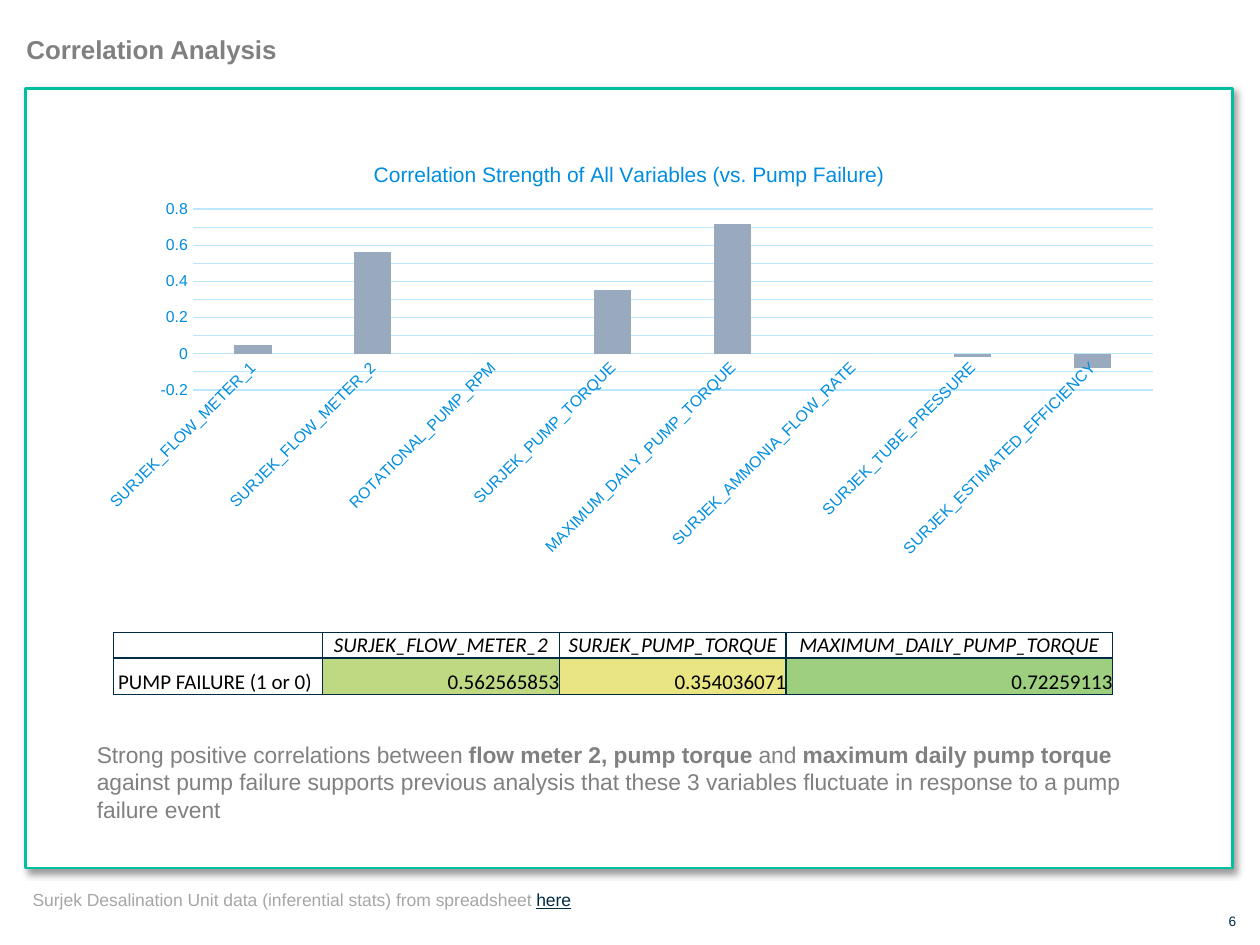
"""Build the Correlation Analysis slide with a chart, a table and a conclusion."""
import pptx
import pptx.chart.data
import pptx.dml.color
import pptx.enum.chart
import pptx.enum.shapes
import pptx.enum.text
import pptx.oxml
import pptx.oxml.ns
import pptx.util

Inches = pptx.util.Inches
Pt = pptx.util.Pt
ALIGN = pptx.enum.text.PP_ALIGN
COLORS = {
    "white": "FFFFFF", "frame": "00C09D", "navy": "002C46", "gray": "808080",
    "source": "A6A6A6", "black": "000000", "blue": "008DE0", "grid": "BDE6FF",
    "bar": "99AABE", "lime": "BED981", "yellow": "E9E583", "green": "9DCF7F",
}


def style_font(font, size, color, name="Arial", bold=False, italic=False):
    """Set the look of a font."""
    font.size, font.name, font.bold, font.italic = Pt(size), name, bold, italic
    font.color.rgb = pptx.dml.color.RGBColor.from_string(COLORS[color])


def add_text(slide, box, runs, size, color, align=ALIGN.LEFT):
    """Add a wrapped text box from (text, bold) runs and return its paragraph."""
    shape = slide.shapes.add_textbox(*map(Inches, box))
    shape.text_frame.word_wrap = True
    paragraph = shape.text_frame.paragraphs[0]
    paragraph.alignment = align
    for text, bold in runs:
        run = paragraph.add_run()
        run.text = text
        style_font(run.font, size, color, bold=bold)
    return paragraph


presentation = pptx.Presentation()
presentation.slide_width, presentation.slide_height = Inches(10), Inches(7.5)
slide = presentation.slides.add_slide(presentation.slide_layouts[5])
namespace = pptx.oxml.ns.nsdecls("a")

frame = slide.shapes.add_shape(
    pptx.enum.shapes.MSO_SHAPE.RECTANGLE, Inches(0.2), Inches(0.7), Inches(9.58), Inches(6.19))
frame.fill.solid()
frame.fill.fore_color.rgb = pptx.dml.color.RGBColor.from_string(COLORS["white"])
frame.line.color.rgb = pptx.dml.color.RGBColor.from_string(COLORS["frame"])
frame.line.width = Pt(1.5)
frame.shadow.inherit = False
effects = frame._element.spPr.find(pptx.oxml.ns.qn("a:effectLst"))
effects.append(pptx.oxml.parse_xml(
    f'<a:outerShdw {namespace} blurRad="{Pt(4)}" dist="{Pt(3)}" dir="2700000" algn="tl" '
    f'rotWithShape="0"><a:srgbClr val="{COLORS["black"]}"><a:alpha val="40000"/>'
    '</a:srgbClr></a:outerShdw>'))

title = slide.shapes.title
title.left, title.top, title.width, title.height = map(Inches, (0.21, 0.27, 9.58, 0.25))
title_frame = title.text_frame
title_frame.text = "Correlation Analysis"
title_frame.margin_left = title_frame.margin_right = 0
title_frame.margin_top = title_frame.margin_bottom = 0
title_frame.vertical_anchor = pptx.enum.text.MSO_ANCHOR.TOP
title_frame.auto_size = pptx.enum.text.MSO_AUTO_SIZE.NONE
title_frame.paragraphs[0].alignment = ALIGN.LEFT
style_font(title_frame.paragraphs[0].runs[0].font, 14.8, "gray", bold=True)

chart_data = pptx.chart.data.CategoryChartData()
chart_data.categories = [
    "SURJEK_FLOW_METER_1", "SURJEK_FLOW_METER_2", "ROTATIONAL_PUMP_RPM", "SURJEK_PUMP_TORQUE",
    "MAXIMUM_DAILY_PUMP_TORQUE", "SURJEK_AMMONIA_FLOW_RATE", "SURJEK_TUBE_PRESSURE",
    "SURJEK_ESTIMATED_EFFICIENCY"]
chart_data.add_series("Series 1", (0.05, 0.56, 0, 0.35, 0.72, 0, -0.02, -0.08))
chart = slide.shapes.add_chart(
    pptx.enum.chart.XL_CHART_TYPE.COLUMN_CLUSTERED,
    Inches(0.67), Inches(1.13), Inches(8.65), Inches(3.36), chart_data).chart
style_font(chart.font, 10, "navy")
chart.has_legend = False
chart.has_title = True
chart.chart_title.include_in_layout = False
chart.chart_title.text_frame.text = "Correlation Strength of All Variables (vs. Pump Failure)"
style_font(chart.chart_title.text_frame.paragraphs[0].runs[0].font, 12, "blue")

for axis in (chart.category_axis, chart.value_axis):
    axis.major_tick_mark = axis.minor_tick_mark = pptx.enum.chart.XL_TICK_MARK.NONE
    style_font(axis.tick_labels.font, 9, "blue")
chart.value_axis.minimum_scale, chart.value_axis.maximum_scale = -0.2, 0.8
chart.value_axis.major_unit = 0.1
chart.value_axis.format.line.fill.background()
for line in (chart.category_axis.format.line, chart.value_axis.major_gridlines.format.line):
    line.color.rgb = pptx.dml.color.RGBColor.from_string(COLORS["grid"])
    line.width = Pt(0.75)
label_body = chart.category_axis._element.find(
    pptx.oxml.ns.qn("c:txPr")).find(pptx.oxml.ns.qn("a:bodyPr"))
label_body.set("rot", "-2700000")
label_body.set("vert", "horz")

plot = chart.plots[0]
plot.gap_width, plot.overlap, plot.vary_by_categories = 219, -27, False
plot.series[0].invert_if_negative = False
plot.series[0].format.fill.solid()
plot.series[0].format.fill.fore_color.rgb = pptx.dml.color.RGBColor.from_string(COLORS["bar"])

rows = [
    ["", "SURJEK_FLOW_METER_2", "SURJEK_PUMP_TORQUE", "MAXIMUM_DAILY_PUMP_TORQUE"],
    [" PUMP FAILURE (1 or 0)", "0.562565853", "0.354036071", "0.72259113"],
]
value_fills = [None, "lime", "yellow", "green"]
table = slide.shapes.add_table(
    2, 4, Inches(0.9), Inches(5.02), Inches(7.93), Inches(0.5)).table
table.first_row = table.horz_banding = False
for column, width in zip(table.columns, (1.66, 1.88, 1.8, 2.59)):
    column.width = Inches(width)
for row, height in zip(table.rows, (0.2, 0.29)):
    row.height = Inches(height)
for row_index, texts in enumerate(rows):
    for column_index, text in enumerate(texts):
        cell = table.cell(row_index, column_index)
        cell.text = text
        cell.margin_left = cell.margin_right = cell.margin_top = cell.margin_bottom = 0
        cell.vertical_anchor = pptx.enum.text.MSO_ANCHOR.BOTTOM
        paragraph = cell.text_frame.paragraphs[0]
        header = row_index == 0
        paragraph.alignment = ALIGN.CENTER if header else ALIGN.RIGHT if column_index else ALIGN.LEFT
        for font in [paragraph.font] + [run.font for run in paragraph.runs]:
            style_font(font, 12, "black", "Calibri", italic=header)
        properties = cell._tc.get_or_add_tcPr()
        for side in ("lnL", "lnR", "lnT", "lnB"):
            properties.append(pptx.oxml.parse_xml(
                f'<a:{side} {namespace} w="{Pt(1)}"><a:solidFill>'
                f'<a:srgbClr val="{COLORS["navy"]}"/></a:solidFill></a:{side}>'))
        if row_index and column_index:
            cell.fill.solid()
            cell.fill.fore_color.rgb = pptx.dml.color.RGBColor.from_string(
                COLORS[value_fills[column_index]])
        else:
            cell.fill.background()

add_text(slide, (0.67, 5.83, 8.65, 0.76), [
    ("Strong positive correlations between ", False),
    ("flow meter 2, pump torque ", True),
    ("and", False),
    (" maximum daily pump torque", True),
    (" against pump failure supports previous analysis that these 3 variables fluctuate "
     "in response to a pump failure event", False),
], 13, "gray")

source = add_text(slide, (0.16, 7.01, 4.69, 0.27), [
    ("Surjek Desalination Unit data (inferential stats) from spreadsheet ", False),
    ("here", False),
], 10, "source")
style_font(source.runs[1].font, 10, "navy")
source.runs[1].font.underline = True

add_text(slide, (9.41, 7.2, 0.5, 0.23), [("6", False)], 7.8, "navy", ALIGN.RIGHT)

presentation.save("out.pptx")
